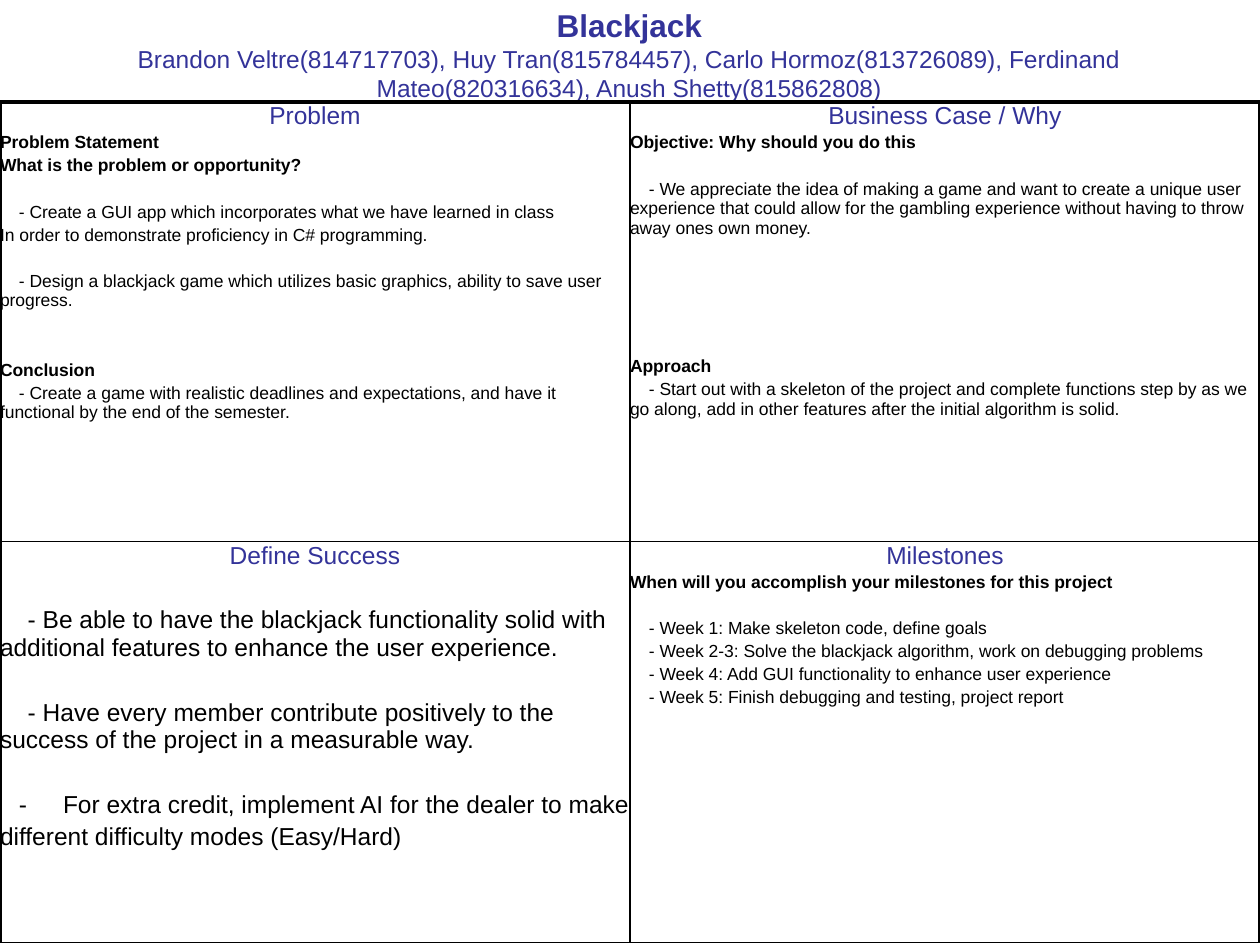
from dataclasses import dataclass

from lxml.etree import SubElement
from pptx import Presentation
from pptx.dml.color import RGBColor
from pptx.enum.text import MSO_ANCHOR, PP_ALIGN
from pptx.oxml import parse_xml
from pptx.oxml.ns import nsdecls, qn
from pptx.util import Inches, Pt


@dataclass(frozen=True)
class Theme:
    font: str = "Arial"
    accent: RGBColor = RGBColor(0x33, 0x33, 0x99)
    ink: RGBColor = RGBColor(0, 0, 0)
    title: float = 18
    heading: float = 14
    body: float = 10
    outer_line: float = 2.25
    inner_line: float = 1


@dataclass(frozen=True)
class Line:
    text: str
    bold: bool = False
    indent: float = 0
    gap: int = 0
    bullet: bool = False


@dataclass(frozen=True)
class Quadrant:
    heading: str
    size: float
    lines: tuple[Line, ...]


THEME = Theme()
BODY_INDENT = 0.15
LARGE_INDENT = 0.22

QUADRANTS = (
    (
        Quadrant("Problem", THEME.body, (
            Line("Problem Statement", bold=True),
            Line("What is the problem or opportunity?", bold=True),
            Line("- Create a GUI app which incorporates what we have learned in class",
                 indent=BODY_INDENT, gap=1),
            Line("In order to demonstrate proficiency in C# programming."),
            Line("- Design a blackjack game which utilizes basic graphics, ability to "
                 "save user progress.", indent=BODY_INDENT, gap=1),
            Line("Conclusion", bold=True, gap=2),
            Line("- Create a game with realistic deadlines and expectations, and have it "
                 "functional by the end of the semester.", indent=BODY_INDENT),
        )),
        Quadrant("Business Case / Why", THEME.body, (
            Line("Objective: Why should you do this", bold=True),
            Line("- We appreciate the idea of making a game and want to create a unique "
                 "user experience that could allow for the gambling experience without "
                 "having to throw away ones own money.", indent=BODY_INDENT, gap=1),
            Line("Approach", bold=True, gap=5),
            Line("- Start out with a skeleton of the project and complete functions step "
                 "by as we go along, add in other features after the initial algorithm "
                 "is solid.", indent=BODY_INDENT),
        )),
    ),
    (
        Quadrant("Define Success", THEME.heading, (
            Line("- Be able to have the blackjack functionality solid with additional "
                 "features to enhance the user experience.", indent=LARGE_INDENT, gap=1),
            Line("- Have every member contribute positively to the success of the "
                 "project in a measurable way.", indent=LARGE_INDENT, gap=1),
            Line("For extra credit, implement AI for the dealer to make",
                 gap=1, bullet=True),
            Line("different difficulty modes (Easy/Hard)"),
        )),
        Quadrant("Milestones", THEME.body, (
            Line("When will you accomplish your milestones for this project", bold=True),
            Line("- Week 1: Make skeleton code, define goals", indent=BODY_INDENT, gap=1),
            Line("- Week 2-3: Solve the blackjack algorithm, work on debugging problems",
                 indent=BODY_INDENT),
            Line("- Week 4: Add GUI functionality to enhance user experience",
                 indent=BODY_INDENT),
            Line("- Week 5: Finish debugging and testing, project report",
                 indent=BODY_INDENT),
        )),
    ),
)


def write(para, text: str, size: float, color: RGBColor, bold: bool = False,
          align=PP_ALIGN.LEFT) -> None:
    para.text = text
    para.alignment = align
    para.font.name = THEME.font
    para.font.size = Pt(size)
    para.font.bold = bold
    para.font.color.rgb = color


def write_line(frame, line: Line, size: float) -> None:
    para = frame.add_paragraph()
    write(para, line.text, size, THEME.ink, line.bold)
    spacing = size * 0.2
    blank_line = size * 1.12 + spacing
    para.space_before = Pt(round(spacing + line.gap * blank_line, 1))
    properties = para._p.get_or_add_pPr()
    margin, indent = (0.5, -0.35) if line.bullet else (0, line.indent)
    properties.set("marL", str(Inches(margin)))
    properties.set("indent", str(Inches(indent)))
    if line.bullet:
        run_defaults = properties.find(qn("a:defRPr"))
        for tag, name, value in (("a:buFont", "typeface", THEME.font),
                                 ("a:buChar", "char", "-")):
            bullet = SubElement(properties, qn(tag))
            bullet.set(name, value)
            run_defaults.addprevious(bullet)


def set_borders(cell, row: int, column: int) -> None:
    widths = {
        "L": THEME.inner_line if column else THEME.outer_line,
        "R": THEME.outer_line if column else THEME.inner_line,
        "T": THEME.inner_line if row else THEME.outer_line,
        "B": THEME.inner_line,
    }
    properties = cell._tc.get_or_add_tcPr()
    for position, (side, width) in enumerate(widths.items()):
        properties.insert(position, parse_xml(
            f'<a:ln{side} {nsdecls("a")} w="{Pt(width)}"><a:solidFill>'
            f'<a:srgbClr val="{THEME.ink}"/></a:solidFill></a:ln{side}>'))


def fill_cell(cell, quadrant: Quadrant, row: int, column: int) -> None:
    cell.margin_left = cell.margin_right = cell.margin_top = cell.margin_bottom = 0
    cell.vertical_anchor = MSO_ANCHOR.TOP
    cell.fill.background()
    set_borders(cell, row, column)
    frame = cell.text_frame
    write(frame.paragraphs[0], quadrant.heading, THEME.heading, THEME.accent,
          align=PP_ALIGN.CENTER)
    for line in quadrant.lines:
        write_line(frame, line, quadrant.size)


def add_title(page) -> None:
    box = page.shapes.add_textbox(Inches(0.83), 0, Inches(8.33), Inches(0.81))
    frame = box.text_frame
    frame.word_wrap = True
    write(frame.paragraphs[0], "Blackjack", THEME.title, THEME.accent, True,
          PP_ALIGN.CENTER)
    write(frame.add_paragraph(),
          "Brandon Veltre(814717703), Huy Tran(815784457), Carlo Hormoz(813726089), "
          "Ferdinand Mateo(820316634), Anush Shetty(815862808)",
          THEME.heading, THEME.accent, align=PP_ALIGN.CENTER)


def add_quadrants(page) -> None:
    heights = (3.49, 3.18)
    table = page.shapes.add_table(2, 2, 0, Inches(0.81), Inches(10),
                                  Inches(sum(heights))).table
    table.first_row = table.horz_banding = False
    for row, height in enumerate(heights):
        table.rows[row].height = Inches(height)
        for column, quadrant in enumerate(QUADRANTS[row]):
            fill_cell(table.cell(row, column), quadrant, row, column)


deck = Presentation()
deck.slide_width = Inches(10)
deck.slide_height = Inches(7.5)
page = deck.slides.add_slide(deck.slide_layouts[6])
add_title(page)
add_quadrants(page)
deck.save("out.pptx")
